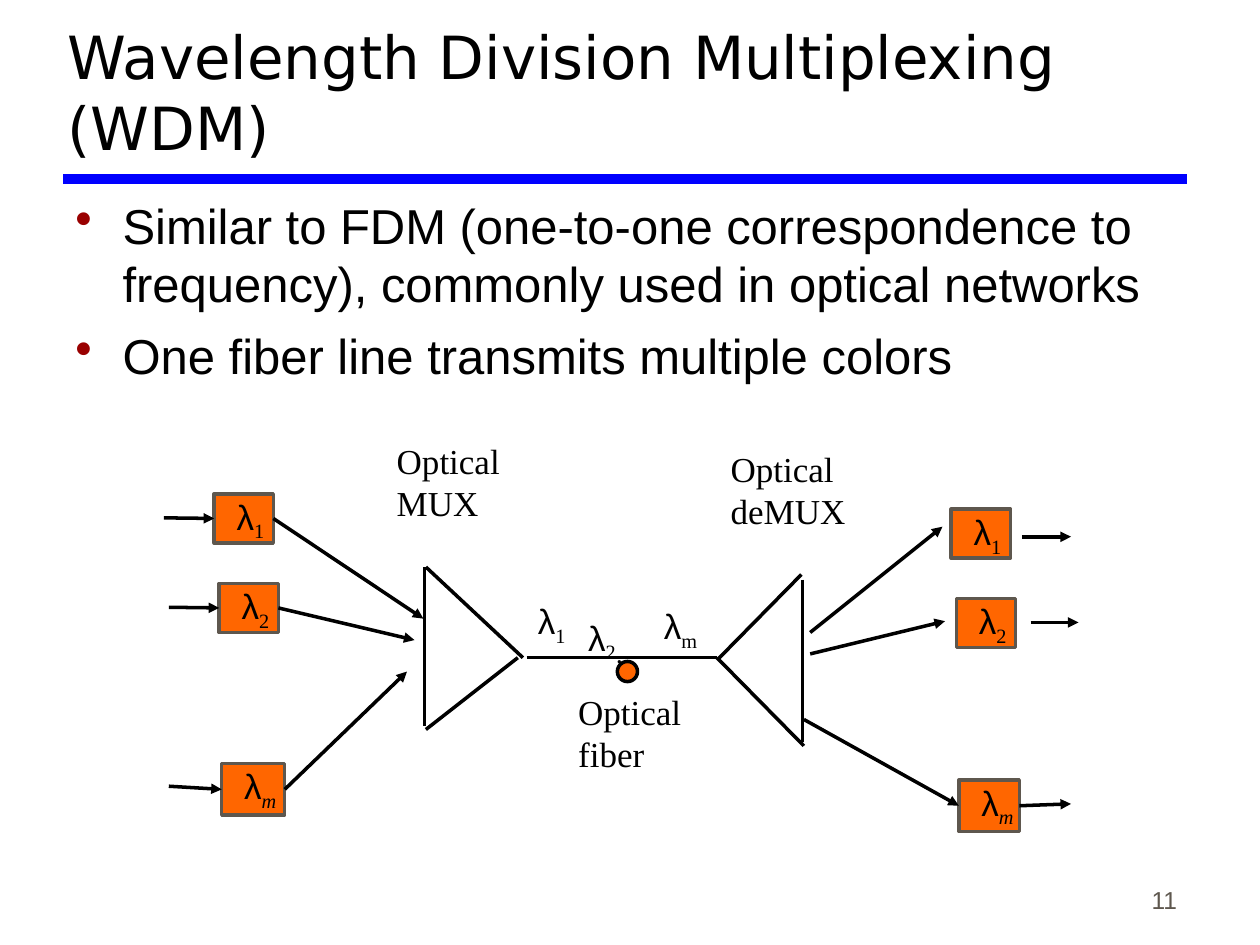
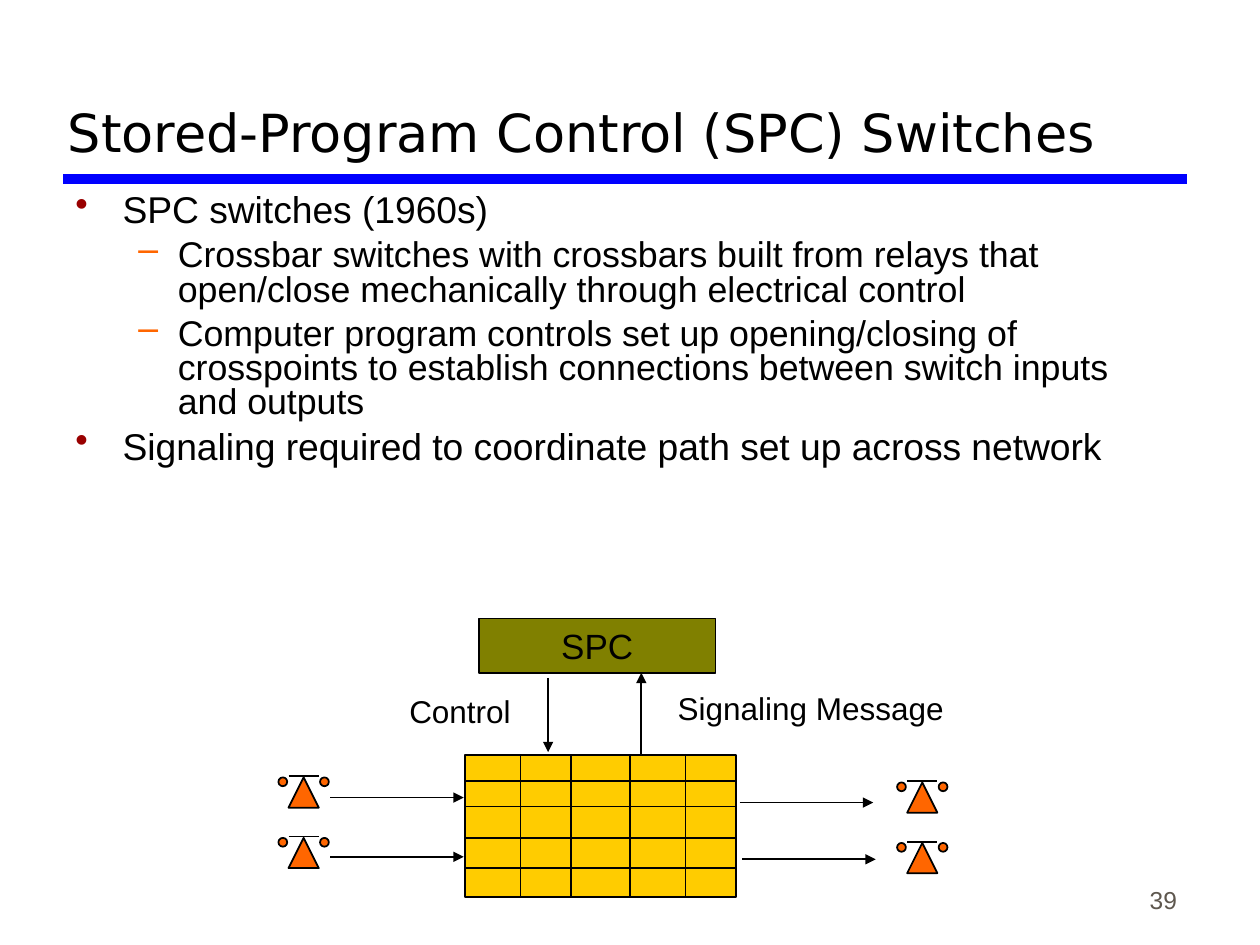
from typing import NamedTuple, Optional

from lxml import etree
from pptx import Presentation
from pptx.dml.color import RGBColor
from pptx.enum import shapes, text
from pptx.oxml import ns
from pptx.util import Emu, Inches, Pt

# Grid: 100 columns by 75 rows of square cells
WIDTH, HEIGHT = Inches(10), Inches(7.5)
COLS, ROWS = 100, 75

HUES = {
    "ink": "000000",
    "rule": "0000FF",
    "grey": "5E574E",
    "red": "990000",
    "orange": "FF6600",
    "olive": "808000",
    "gold": "FFCC00",
}
SANS, SERIF, HEAD = "Arial", "Times New Roman", "DejaVu Sans"
RECT = shapes.MSO_SHAPE.RECTANGLE
OVAL = shapes.MSO_SHAPE.OVAL
CONE = shapes.MSO_SHAPE.ISOSCELES_TRIANGLE
LEFT, RIGHT = 1, 3  # connection sites of a rectangle


class Box(NamedTuple):
    col: float
    row: float
    wide: float
    high: float


class Wire(NamedTuple):
    col: float
    row: float
    to_col: float
    to_row: float
    arrow: bool = False


class Node(NamedTuple):
    """A wavelength box; a joined wire ends on the box itself."""
    box: Box
    sub: str
    enter: Wire
    leave: Wire
    join_in: bool
    join_out: bool


class Note(NamedTuple):
    box: Box
    lines: tuple


class Bullet(NamedTuple):
    mark: str
    hue: str
    margin: float
    hang: float


DOT = Bullet("•", "red", 3.75, 3.75)
DASH = Bullet("–", "orange", 8.13, 3.13)


def across(cols: float) -> Emu:
    return Emu(round(WIDTH * cols / COLS))


def down(rows: float) -> Emu:
    return Emu(round(HEIGHT * rows / ROWS))


def place(box: Box) -> tuple:
    return across(box.col), down(box.row), across(box.wide), down(box.high)


def paint(name: str) -> RGBColor:
    return RGBColor.from_string(HUES[name])


def write(frame, words: str, *, size: float, font: str = SANS, hue: str = "ink",
          new: bool = True, align=None, before: float = 0, pitch=None,
          bullet: Optional[Bullet] = None, level: int = 0,
          sub: bool = False, slant: bool = False) -> None:
    """Add one run, in a new paragraph unless new is False."""
    para = frame.paragraphs[-1]
    if new and para.runs:
        para = frame.add_paragraph()
        para.space_before = Pt(before)
    if bullet:
        props = para._p.get_or_add_pPr()
        props.set("marL", str(across(bullet.margin)))
        props.set("indent", str(-across(bullet.hang)))
        tint = etree.SubElement(props, ns.qn("a:buClr"))
        etree.SubElement(tint, ns.qn("a:srgbClr"), val=HUES[bullet.hue])
        etree.SubElement(props, ns.qn("a:buChar"), char=bullet.mark)
        para.level = level
    if align is not None:
        para.alignment = align
    if pitch:
        para.line_spacing = pitch
    run = para.add_run()
    run.text = words
    run.font.size, run.font.name = Pt(size), font
    run.font.color.rgb = paint(hue)
    if slant:
        run.font.italic = True
    if sub:
        run._r.get_or_add_rPr().set("baseline", "-25000")


def panel(slide, box: Box, wrap: bool = True, low: bool = False):
    """Add a text box and return its frame."""
    frame = slide.shapes.add_textbox(*place(box)).text_frame
    frame.word_wrap = wrap
    if not wrap:
        frame.auto_size = text.MSO_AUTO_SIZE.SHAPE_TO_FIT_TEXT
    if low:
        frame.vertical_anchor = text.MSO_ANCHOR.BOTTOM
    return frame


def solid(slide, kind, box: Box, fill: str, edge: str = "ink", weight: float = 1):
    shape = slide.shapes.add_shape(kind, *place(box))
    shape.shadow.inherit = False
    shape.fill.solid()
    shape.fill.fore_color.rgb = paint(fill)
    shape.line.color.rgb = paint(edge)
    shape.line.width = Pt(weight)
    return shape


def draw(slide, wire: Wire, weight: float = 1, hue: str = "ink"):
    line = slide.shapes.add_connector(
        shapes.MSO_CONNECTOR.STRAIGHT, across(wire.col), down(wire.row),
        across(wire.to_col), down(wire.to_row))
    line.line.color.rgb = paint(hue)
    line.line.width = Pt(weight)
    if wire.arrow:
        etree.SubElement(line.line._get_or_add_ln(), ns.qn("a:tailEnd"), type="triangle")
    etree.SubElement(line._element.spPr, ns.qn("a:effectLst"))
    return line


def start(deck, title: str, size: float, page: str):
    """Add a slide with the shared rule, page number and title."""
    slide = deck.slides.add_slide(deck.slide_layouts[6])
    draw(slide, Wire(5, 14.2, 94.2, 14.2), 6, "rule")
    write(panel(slide, Box(73.6, 68.1, 20.8, 5), low=True), page, size=14,
          hue="grey", align=text.PP_ALIGN.RIGHT)
    write(panel(slide, Box(4.4, 1.7, 89.7, 11.7), low=True), title, size=size, font=HEAD)
    return slide


def wave(slide, box: Box, sub: str, slant: bool = False):
    """Write a lambda with its subscript."""
    frame = panel(slide, box, wrap=False)
    write(frame, "λ", size=20)
    write(frame, sub, size=20, font=SERIF, new=False, sub=True, slant=slant)
    return frame


def station(slide, node: Node) -> None:
    shape = solid(slide, RECT, node.box, "orange", "grey", 2)
    slant = node.sub == "m"
    wave(slide, Box(node.box.col + 0.8, node.box.row - 0.4, 4.7 if slant else 4.3, 4.8),
         node.sub, slant)
    enter, leave = draw(slide, node.enter, 2), draw(slide, node.leave, 2)
    if node.join_in:
        enter.end_connect(shape, LEFT)
    if node.join_out:
        leave.begin_connect(shape, RIGHT)


def phone(slide, col: float, row: float) -> None:
    solid(slide, CONE, Box(col, row, 2.4, 2.4), "orange")
    draw(slide, Wire(col, row - 0.1, col + 2.4, row - 0.1))
    for ear in (col - 0.8, col + 2.5):
        solid(slide, OVAL, Box(ear, row, 0.7, 0.7), "orange")


# Slide: wavelength division
NODES = [
    Node(Box(17, 39.2, 4.7, 3.9), "1", Wire(13, 41.1, 17, 41.1, True),
         Wire(22, 41.3, 33.6, 49.1, True), True, True),
    Node(Box(17.4, 46.3, 4.7, 3.9), "2", Wire(13.4, 48.2, 17.4, 48.2, True),
         Wire(22.4, 48.3, 32.9, 50.8, True), True, True),
    Node(Box(17.6, 60.6, 5, 4.1), "m", Wire(13.4, 62.4, 17.3, 62.4, True),
         Wire(22.6, 62.9, 32.3, 53.3, True), True, True),
    Node(Box(75.5, 40.4, 4.7, 3.9), "1", Wire(64.3, 50.2, 74.8, 41.8, True),
         Wire(81.1, 42.6, 85, 42.6, True), False, False),
    Node(Box(75.9, 47.5, 4.7, 3.9), "2", Wire(64.3, 51.9, 75, 49.3, True),
         Wire(81.8, 49.4, 85.6, 49.4, True), False, False),
    Node(Box(76.1, 61.9, 4.8, 4.1), "m", Wire(63.8, 57.1, 75.9, 63.7, True),
         Wire(81.1, 63.8, 85, 63.8, True), True, True),
]
MUX = [Wire(33.7, 45, 33.7, 57.6), Wire(33.8, 45, 41.5, 52.2), Wire(33.8, 57.9, 41.1, 52.2)]
FIBER = [Wire(41.8, 52.2, 56.9, 52.2)]
DEMUX = [Wire(57, 52.3, 63.6, 45.6), Wire(63.7, 46, 63.7, 58.9), Wire(63.8, 59.2, 56.9, 52.2)]
NOTES = [
    Note(Box(30.5, 34.4, 10.2, 7.6), ("Optical", "MUX")),
    Note(Box(57, 35, 11.1, 7.6), ("Optical", "deMUX")),
    Note(Box(44.9, 54.3, 10.2, 7.6), ("Optical", "fiber")),
]


def colors(deck) -> None:
    slide = start(deck, "Wavelength Division Multiplexing (WDM)", 34, "11")
    body = panel(slide, Box(5, 15, 89.4, 51.3))
    for words in (
        "Similar to FDM (one-to-one correspondence to frequency), "
        "commonly used in optical networks",
        "One fiber line transmits multiple colors",
    ):
        write(body, words, size=28, before=7, bullet=DOT)
    for node in NODES:
        station(slide, node)
    for wire in MUX + FIBER + DEMUX:
        draw(slide, wire, 2)
    # Wavelengths on the fiber
    wave(slide, Box(41.7, 47.1, 4.3, 4.8), "1")
    second = wave(slide, Box(45.7, 47.3, 4.9, 6.3), "2")
    write(second, ".", size=28, font=SERIF, new=False, sub=True)
    wave(slide, Box(51.7, 47.5, 4.8, 4.8), "m")
    solid(slide, OVAL, Box(49, 52.5, 1.6, 1.6), "orange", weight=2)
    for note in NOTES:
        frame = panel(slide, note.box, wrap=False)
        for words in note.lines:
            write(frame, words, size=20, font=SERIF)


# Slide: stored-program control
POINTS = [
    (0, "SPC switches (1960s)"),
    (1, "Crossbar switches with crossbars built from relays that open/close "
        "mechanically through electrical control"),
    (1, "Computer program controls set up opening/closing of crosspoints to "
        "establish connections between switch inputs and outputs"),
    (0, "Signaling required to coordinate path set up across network"),
]
CROSS = Box(36.9, 59.9, 21.5, 11.3)
BARS = (62, 64, 66.5, 68.9)
POSTS = (41.3, 45.3, 50, 54.4)
LINKS = [
    Wire(50.9, 59.9, 50.9, 53.4, True),
    Wire(43.5, 53.8, 43.5, 59.7, True),
    Wire(26.2, 63.3, 36.8, 63.3, True),
    Wire(26.2, 68, 36.8, 68, True),
    Wire(58.7, 63.7, 69.3, 63.7, True),
    Wire(58.9, 68.2, 69.5, 68.2, True),
]


def control(deck) -> None:
    slide = start(deck, "Stored-Program Control (SPC) Switches", 30, "39")
    body = panel(slide, Box(5, 15, 89.4, 26.4))
    for level, words in POINTS:
        write(body, words, size=(21.3, 20.4)[level], before=(5.8, 5.5)[level],
              pitch=0.8, bullet=(DOT, DASH)[level], level=level)
    unit = solid(slide, RECT, Box(38, 49.1, 18.8, 4.3), "olive")
    write(unit.text_frame, "SPC", size=20, align=text.PP_ALIGN.CENTER)
    # Crossbar
    solid(slide, RECT, CROSS, "gold")
    for row in BARS:
        draw(slide, Wire(CROSS.col, row, CROSS.col + CROSS.wide, row))
    for col in POSTS:
        draw(slide, Wire(col, CROSS.row, col, CROSS.row + CROSS.high))
    for link in LINKS:
        draw(slide, link)
    # Phones, two on each side
    for col, row in ((22.9, 61.7), (72, 62.1)):
        for step in range(2):
            phone(slide, col, row + 4.8 * step)
    write(panel(slide, Box(31.5, 54.4, 14.6, 4)), "Control", size=18)
    write(panel(slide, Box(52.8, 54.2, 24.1, 4)), "Signaling Message", size=18)


def main() -> None:
    deck = Presentation()
    deck.slide_width, deck.slide_height = WIDTH, HEIGHT
    colors(deck)
    control(deck)
    deck.save("out.pptx")


if __name__ == "__main__":
    main()
